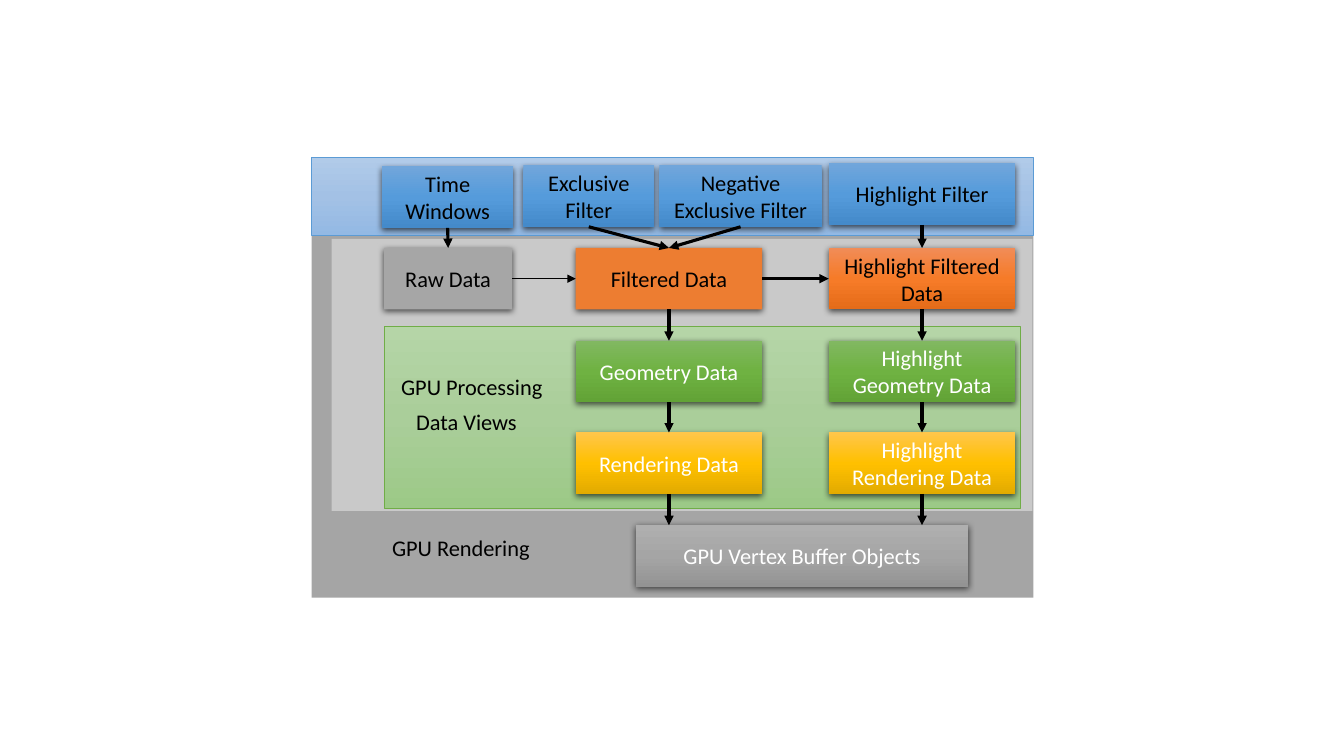
from lxml.etree import SubElement
from pptx import Presentation
from pptx.dml.color import RGBColor
from pptx.enum.shapes import MSO_CONNECTOR as CONNECTOR, MSO_SHAPE as SHAPE
from pptx.enum.text import MSO_ANCHOR as ANCHOR, MSO_AUTO_SIZE as AUTO_SIZE, PP_ALIGN as ALIGN
from pptx.oxml.ns import qn
from pptx.util import Inches, Pt

BLACK, WHITE = "000000", "FFFFFF"
BLUE = ("71A6DB", "559BDB", "448ACA")
ORANGE = ("F18C57", "F67B28", "E56C19")
GREEN = ("81B861", "6FB242", "62A336")
GOLD = ("FFC64B", "FFC000", "E3AB00")
GRAY = ("AFAFAF", "A5A5A5", "939393")
PALE_GREEN = ("B5D5A7", "AACE9A", "9CC987")
PALE_BLUE = ("B1CBE9", "A3C1E5", "93B9E4")

TOP, LEFT, BOTTOM, RIGHT = range(4)  # connection sites of a rectangle
BOX_HEIGHT, BOX_WIDTH = 0.61, 1.85
FILTERED_X, HIGHLIGHT_X = 5.71, 8.22
DATA_Y, GEOMETRY_Y, RENDERING_Y, BUFFER_Y = (round(2.46 + 0.915 * row, 2) for row in range(4))

# name: (text, left, top, width, fill, text colour)
BOXES = {
    "exclusive": ("Exclusive Filter", 5.19, 1.64, 1.3, BLUE, BLACK),
    "negative": ("Negative\nExclusive Filter", 6.54, 1.64, 1.61, BLUE, BLACK),
    "highlight": ("Highlight Filter", HIGHLIGHT_X, 1.62, BOX_WIDTH, BLUE, BLACK),
    "windows": ("Time Windows", 3.79, 1.65, 1.3, BLUE, BLACK),
    "raw": ("Raw Data", 3.81, DATA_Y, 1.27, "A6A6A6", BLACK),
    "filtered": ("Filtered Data", FILTERED_X, DATA_Y, BOX_WIDTH, "ED7D31", BLACK),
    "hl_filtered": ("Highlight Filtered Data", HIGHLIGHT_X, DATA_Y, BOX_WIDTH, ORANGE, BLACK),
    "geometry": ("Geometry Data", FILTERED_X, GEOMETRY_Y, BOX_WIDTH, GREEN, WHITE),
    "hl_geometry": ("Highlight\nGeometry Data", HIGHLIGHT_X, GEOMETRY_Y, BOX_WIDTH, GREEN, WHITE),
    "rendering": ("Rendering Data", FILTERED_X, RENDERING_Y, BOX_WIDTH, GOLD, WHITE),
    "hl_rendering": ("Highlight\nRendering Data", HIGHLIGHT_X, RENDERING_Y, BOX_WIDTH, GOLD, WHITE),
    "buffers": ("GPU Vertex Buffer Objects", 6.31, BUFFER_Y, 3.29, GRAY, WHITE),
}
DOWNWARD = [
    ("windows", "raw"), ("exclusive", "filtered"), ("negative", "filtered"),
    ("highlight", "hl_filtered"), ("filtered", "geometry"), ("geometry", "rendering"),
    ("hl_filtered", "hl_geometry"), ("hl_geometry", "hl_rendering"),
]
PANELS = [
    ((3.09, 2.34, 7.16, 3.59), "A5A5A5", None),
    ((3.29, 2.37, 6.95, 2.7), "C9C9C9", None),
    ((3.81, 3.24, 6.31, 1.8), PALE_GREEN, "70AD47"),
    ((3.09, 1.56, 7.16, 0.78), PALE_BLUE, "5B9BD5"),
]
LABELS = [
    ("GPU Processing", 3.88, 3.65, 1.62),
    ("Data Views", 4.03, 4, 1.21),
    ("GPU Rendering", 3.79, 5.25, 1.58),
]


def rgb(color):
    return RGBColor.from_string(color)


def set_format(target, values):
    for name, value in values.items():
        setattr(target, name, value)


def paint(fill, colors):
    """Fill with one colour, or with a tuple of colours from top to bottom."""
    if isinstance(colors, str):
        fill.solid()
        fill.fore_color.rgb = rgb(colors)
        return
    fill.gradient()
    fill.gradient_angle = 270
    stops = fill.gradient_stops[0]._gs.getparent()
    for stop in list(stops):
        stops.remove(stop)
    for index, color in enumerate(colors):
        position = 100000 * index // (len(colors) - 1)
        stop = SubElement(stops, qn("a:gs"), pos=str(position))
        SubElement(stop, qn("a:srgbClr"), val=color)


def write(frame, text, color, align, **frame_format):
    frame.text = text
    set_format(frame, frame_format)
    for paragraph in frame.paragraphs:
        paragraph.alignment = align
        set_format(paragraph.font, {"name": "Calibri", "size": Pt(16)})
        paragraph.font.color.rgb = rgb(color)


def add_panel(slide, place, fill, outline=None):
    panel = slide.shapes.add_shape(SHAPE.RECTANGLE, *map(Inches, place))
    paint(panel.fill, fill)
    if outline:
        panel.line.color.rgb = rgb(outline)
        panel.line.width = Pt(0.5)
    else:
        panel.line.fill.background()
    panel.shadow.inherit = False
    return panel


def add_box(slide, text, left, top, width, fill, color):
    box = add_panel(slide, (left, top, width, BOX_HEIGHT), fill)
    effects = box._element.spPr.find(qn("a:effectLst"))
    shadow = SubElement(effects, qn("a:outerShdw"), blurRad=str(Pt(4.5)),
                        dist=str(Pt(1.5)), dir="5400000", algn="ctr", rotWithShape="0")
    shade = SubElement(shadow, qn("a:srgbClr"), val=BLACK)
    SubElement(shade, qn("a:alpha"), val="63000")
    write(box.text_frame, text, color, ALIGN.CENTER,
          word_wrap=True, vertical_anchor=ANCHOR.MIDDLE)
    return box


def add_label(slide, text, left, top, width):
    label = slide.shapes.add_textbox(*map(Inches, (left, top, width, 0.37)))
    write(label.text_frame, text, BLACK, ALIGN.LEFT,
          word_wrap=False, auto_size=AUTO_SIZE.SHAPE_TO_FIT_TEXT)


def add_arrow(slide, source, source_site, target, target_site, weight=2.25):
    """Link two boxes; without a target site, drop straight to the target's top."""
    center = source.left + source.width // 2
    arrow = slide.shapes.add_connector(CONNECTOR.STRAIGHT, center, source.top, center, target.top)
    arrow.begin_connect(source, source_site)
    if target_site is not None:
        arrow.end_connect(target, target_site)
    arrow.line.color.rgb = rgb(BLACK)
    arrow.line.width = Pt(weight)
    SubElement(arrow.line._get_or_add_ln(), qn("a:tailEnd"), type="triangle")
    SubElement(arrow._element.spPr, qn("a:effectLst"))


def main():
    deck = Presentation()
    set_format(deck, {"slide_width": Inches(13.33), "slide_height": Inches(7.5)})
    slide = deck.slides.add_slide(deck.slide_layouts[6])

    for panel in PANELS:
        add_panel(slide, *panel)
    boxes = {name: add_box(slide, *box) for name, box in BOXES.items()}

    add_arrow(slide, boxes["raw"], RIGHT, boxes["filtered"], LEFT, weight=0.5)
    add_arrow(slide, boxes["filtered"], RIGHT, boxes["hl_filtered"], LEFT)
    for source, target in DOWNWARD:
        add_arrow(slide, boxes[source], BOTTOM, boxes[target], TOP)
    for source in ("rendering", "hl_rendering"):
        add_arrow(slide, boxes[source], BOTTOM, boxes["buffers"], None)

    for label in LABELS:
        add_label(slide, *label)
    deck.save("out.pptx")


if __name__ == "__main__":
    main()
